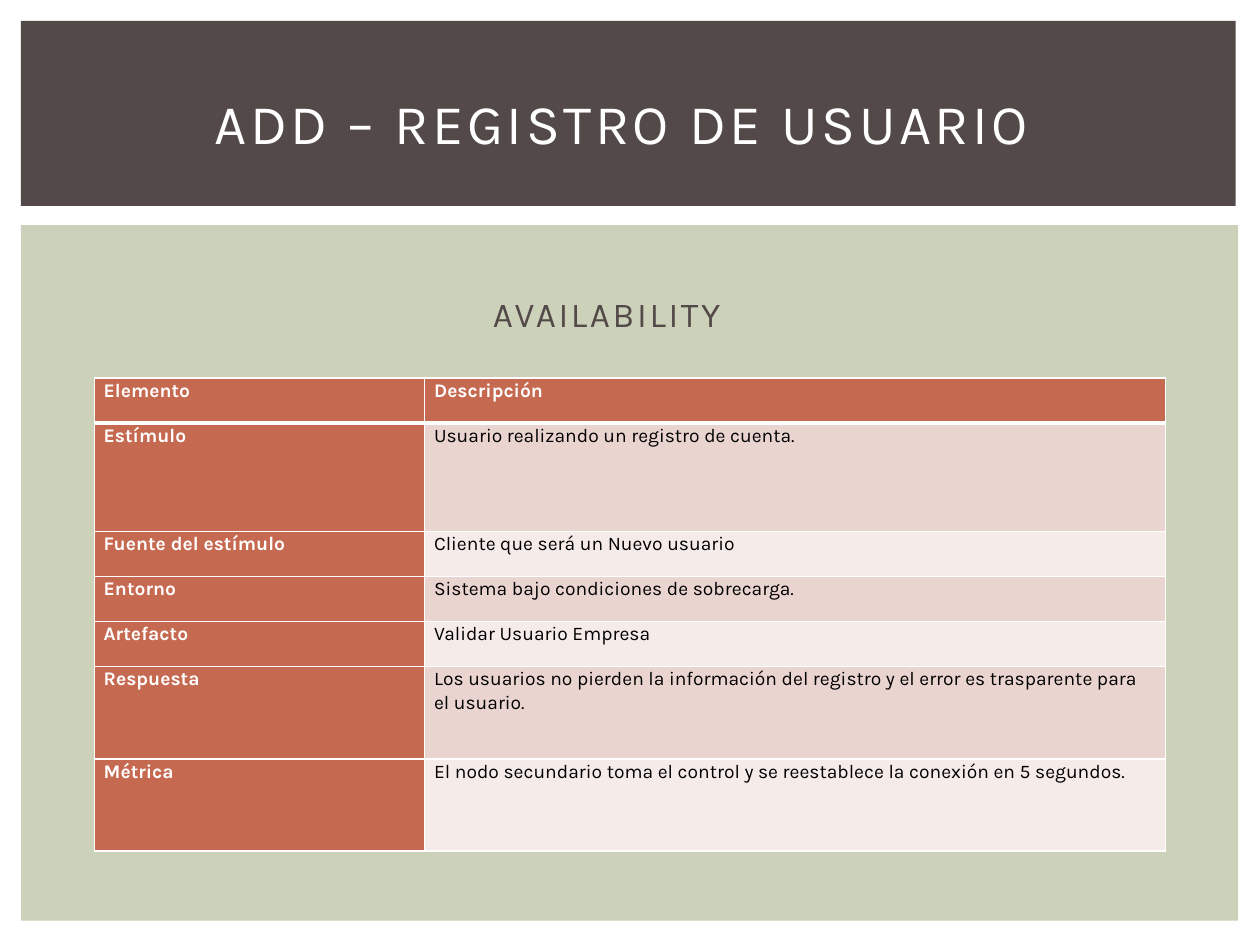
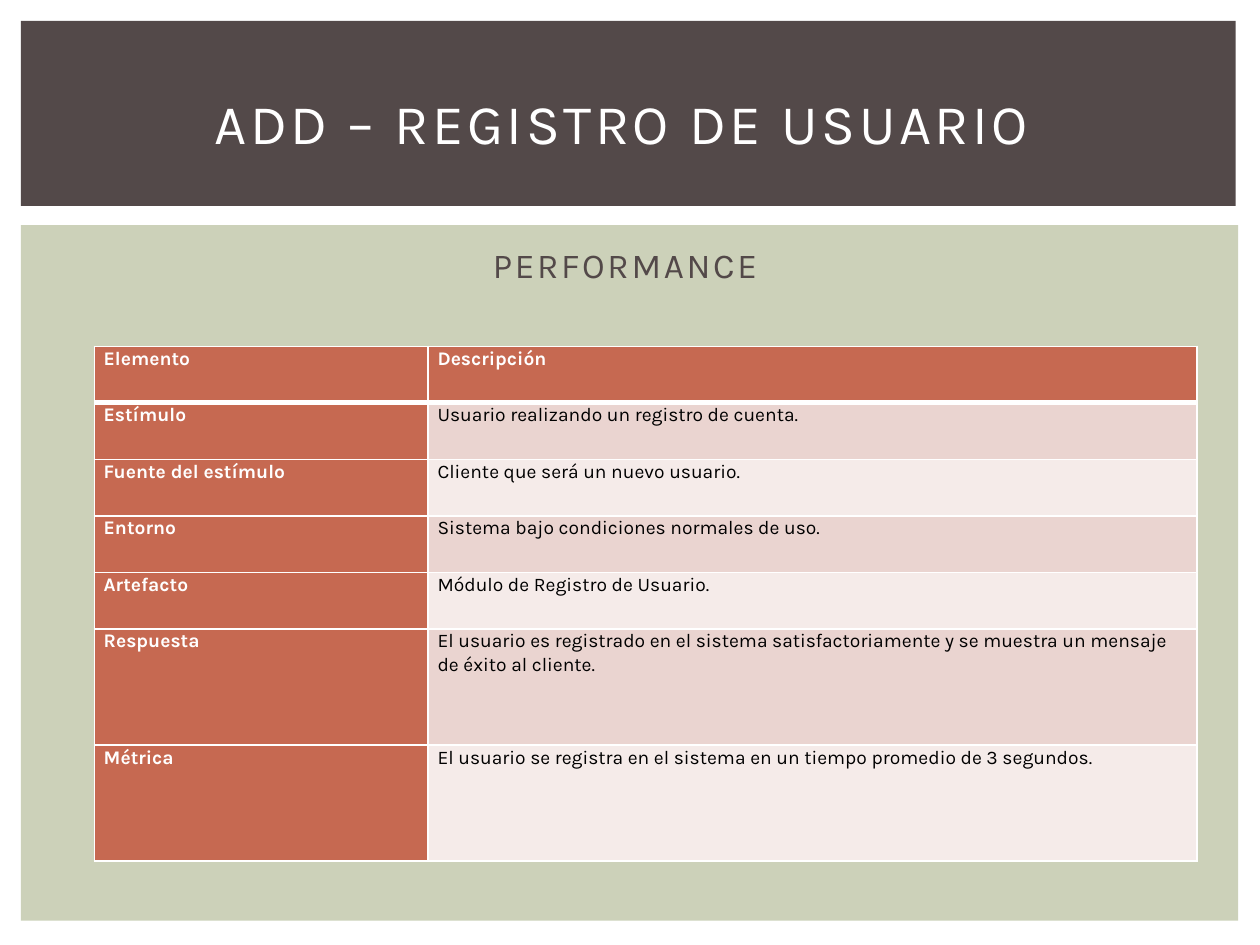
import pptx
import pptx.dml.color
import pptx.enum.shapes
import pptx.enum.text
import pptx.util
from lxml import etree
from pptx.oxml.ns import qn
from pptx.util import Cm

COLORS = {
    "title_band": "534949",
    "panel": "CCD1B9",
    "heading": "534949",
    "white": "FFFFFF",
    "black": "000000",
    "accent": "C66951",
    "row_dark": "EAD4D0",
    "row_light": "F5EBE9",
}
TITLE = {"name": "Karla", "size": pptx.util.Pt(32), "bold": False}
HEADING = {"name": "Karla", "size": pptx.util.Pt(20), "bold": False}
LABEL = {"name": "Karla", "size": pptx.util.Pt(11), "bold": True}
DETAIL = {**LABEL, "bold": False}

# Lengths in centimetres: left, top, width, height
BANDS = {
    "panel": (0.42, 4.54, 24.54, 14.02),
    "title_band": (0.42, 0.42, 24.49, 3.73),
}
ELEMENTS = ["Elemento", "Estímulo", "Fuente del estímulo", "Entorno",
            "Artefacto", "Respuesta", "Métrica"]
SCENARIOS = [
    {
        "heading": "AVAILABILITY",
        "heading_inset": 1.11,
        "top": 7.62,
        "columns": [6.66, 14.93],
        "rows": [0.91, 2.18, 0.91, 0.91, 0.91, 1.86, 1.86],
        "details": [
            "Descripción",
            "Usuario realizando un registro de cuenta.",
            "Cliente que será un Nuevo usuario",
            "Sistema bajo condiciones de sobrecarga.",
            "Validar Usuario Empresa",
            "Los usuarios no pierden la información del registro y el error "
            "es trasparente para el usuario.",
            "El nodo secundario toma el control y se reestablece la conexión "
            "en 5 segundos.",
        ],
    },
    {
        "heading": "PERFORMANCE",
        "heading_inset": 0.12,
        "top": 6.98,
        "columns": [6.73, 15.5],
        "rows": [1.14] * 5 + [2.34] * 2,
        "details": [
            "Descripción",
            "Usuario realizando un registro de cuenta.",
            "Cliente que será un nuevo usuario.",
            "Sistema bajo condiciones normales de uso.",
            "Módulo de Registro de Usuario.",
            "El usuario es registrado en el sistema satisfactoriamente y se "
            "muestra un mensaje de éxito al cliente.",
            "El usuario se registra en el sistema en un tiempo promedio de "
            "3 segundos.",
        ],
    },
]


def rgb(color):
    return pptx.dml.color.RGBColor.from_string(COLORS[color])


def place(sp, left, top, width, height):
    sp.left, sp.top, sp.width, sp.height = map(Cm, (left, top, width, height))


def write(tf, text, font, color, spacing=0):
    p = tf.paragraphs[0]
    r = p.add_run()
    r.text = text
    for name, value in font.items():
        setattr(r.font, name, value)
    r.font.color.rgb = rgb(color)
    if spacing:
        r._r.get_or_add_rPr().set("spc", str(int(spacing * 100)))
    return p


def add_bands(s):
    """Draw the coloured bands behind the placeholders."""
    for position, (color, box) in enumerate(BANDS.items(), start=2):
        sp = s.shapes.add_shape(pptx.enum.shapes.MSO_SHAPE.RECTANGLE,
                                *map(Cm, box))
        sp.shadow.inherit = False
        sp.fill.solid()
        sp.fill.fore_color.rgb = rgb(color)
        sp.line.fill.background()
        s.shapes._spTree.insert(position, sp._element)


def add_title(s, text):
    sp = s.shapes.title
    place(sp, 1.07, 1.01, 22.93, 2.92)
    sp.text_frame.vertical_anchor = pptx.enum.text.MSO_ANCHOR.MIDDLE
    p = write(sp.text_frame, text, TITLE, "white", 2)
    p.alignment = pptx.enum.text.PP_ALIGN.CENTER


def add_heading(s, text, inset):
    sp = s.placeholders[1]
    place(sp, 1.07, 4.78, 23.34, 12.24)
    sp.text_frame.margin_top = Cm(inset)
    p = write(sp.text_frame, text, HEADING, "heading", 1.5)
    p.space_before = pptx.util.Pt(0)
    pPr = p._p.get_or_add_pPr()
    pPr.set("marL", str(Cm(8.61)))
    pPr.set("indent", "0")
    etree.SubElement(pPr, qn("a:buNone"))


def set_borders(cell, widths):
    """Draw white borders; widths are points for left, right, top, bottom."""
    tcPr = cell._tc.get_or_add_tcPr()
    for i, (side, width) in enumerate(zip("LRTB", widths)):
        ln = etree.Element(qn(f"a:ln{side}"), w=str(pptx.util.Pt(width)))
        fill = etree.SubElement(ln, qn("a:solidFill"))
        etree.SubElement(fill, qn("a:srgbClr"), val=COLORS["white"])
        tcPr.insert(i, ln)


def fill_cell(cell, text, row, column):
    is_label = row == 0 or column == 0
    for side, margin in {"left": 0.19, "right": 0.19,
                         "top": 0, "bottom": 0}.items():
        setattr(cell, f"margin_{side}", Cm(margin))
    cell.fill.solid()
    stripe = "row_dark" if row % 2 else "row_light"
    cell.fill.fore_color.rgb = rgb("accent" if is_label else stripe)
    set_borders(cell, (1, 1, 3 if row == 1 else 1, 3 if row == 0 else 1))
    p = write(cell.text_frame, text, LABEL if is_label else DETAIL,
              "white" if is_label else "black")
    p.line_spacing = 1.07


def add_scenario_table(s, scenario):
    columns, rows = scenario["columns"], scenario["rows"]
    frame = s.shapes.add_table(len(rows), len(columns), Cm(1.9),
                               Cm(scenario["top"]), Cm(sum(columns)),
                               Cm(sum(rows)))
    table = frame.table
    table.first_col = True
    for column, width in zip(table.columns, columns):
        column.width = Cm(width)
    for row, height in zip(table.rows, rows):
        row.height = Cm(height)
    for i, texts in enumerate(zip(ELEMENTS, scenario["details"])):
        for j, text in enumerate(texts):
            fill_cell(table.cell(i, j), text, i, j)


def main():
    prs = pptx.Presentation()
    prs.slide_width, prs.slide_height = Cm(25.4), Cm(19.05)

    # One slide per quality scenario
    for scenario in SCENARIOS:
        s = prs.slides.add_slide(prs.slide_layouts[1])
        add_bands(s)
        add_title(s, "ADD – REGISTRO DE USUARIO")
        add_heading(s, scenario["heading"], scenario["heading_inset"])
        add_scenario_table(s, scenario)

    prs.save("out.pptx")


if __name__ == "__main__":
    main()
